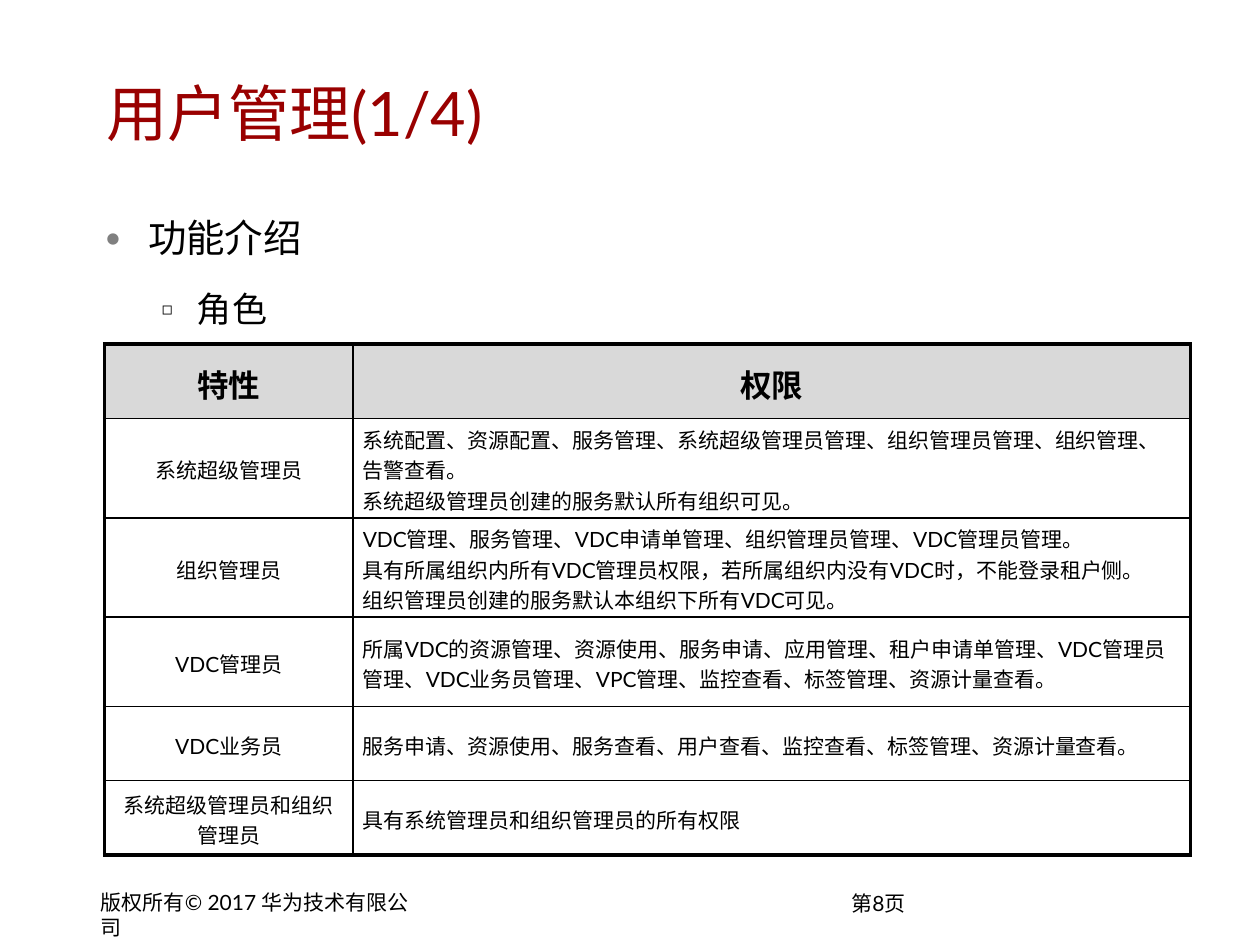
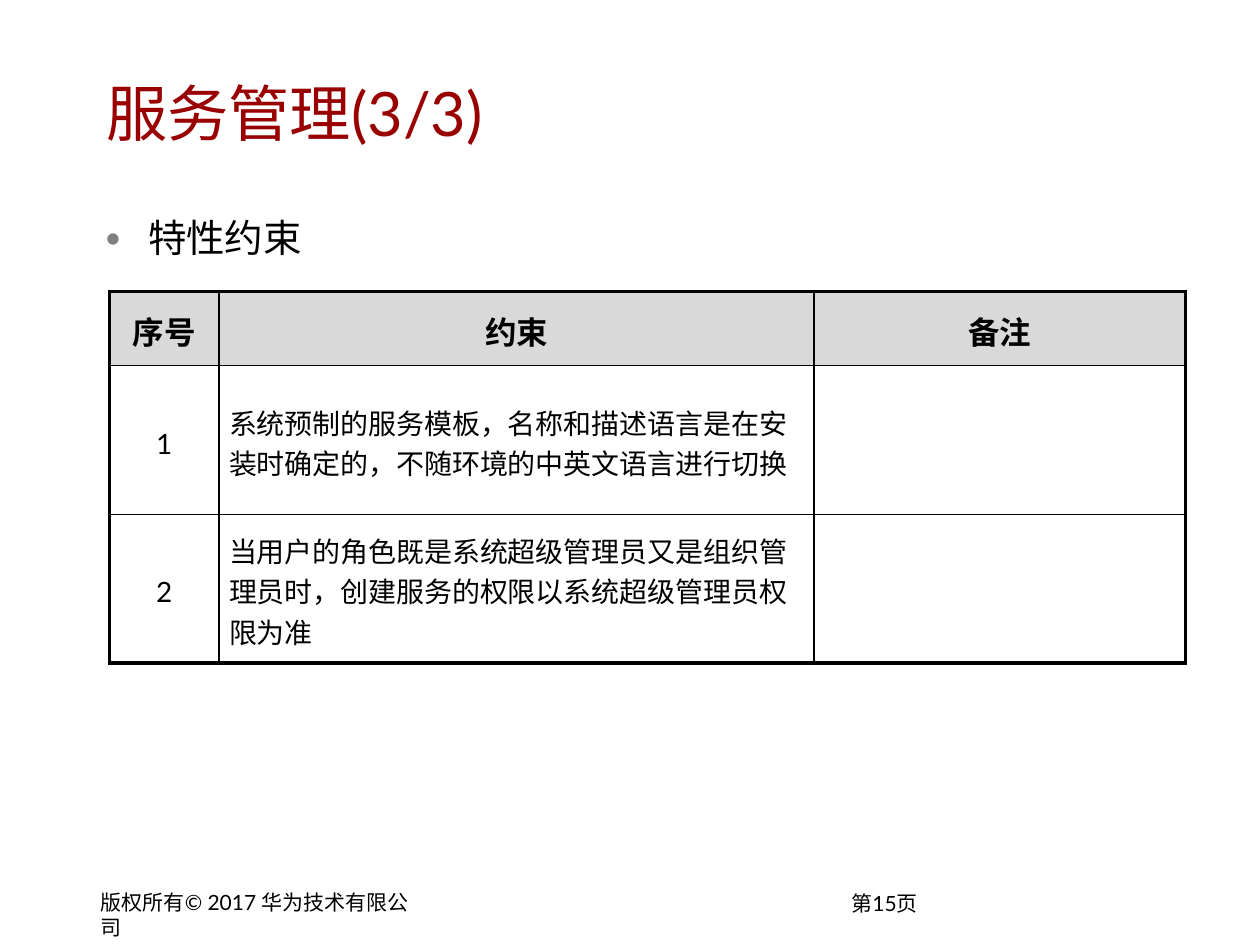
from lxml import etree
from pptx import Presentation
from pptx.dml.color import RGBColor
from pptx.enum import text
from pptx.oxml import ns
from pptx.util import Pt

FONT = "Lato"
BLACK, TITLE_RED, HEADER_GREY, BULLET_GREY = "000000", "990000", "D9D9D9", "808080"
COPYRIGHT = "版权所有© 2017 华为技术有限公司"
LEFT, CENTER = text.PP_ALIGN.LEFT, text.PP_ALIGN.CENTER
MIDDLE, TOP = text.MSO_ANCHOR.MIDDLE, text.MSO_ANCHOR.TOP
OUTER, INNER = 2.25, 1

BULLETS = [
    {"size": 22, "indent": 24, "hang": 24, "char": "●", "color": BULLET_GREY, "scale": 60, "before": 0},
    {"size": 20, "indent": 52, "hang": 20, "char": "◻", "color": BLACK, "scale": 50, "before": 6},
]

SLIDES = [
    {
        "title": "用户管理(1/4)",
        "number": 8,
        "topics": ["功能介绍", "角色"],
        "corner": (59.8, 196.6),
        "columns": [141.8, 478.8],
        "heights": [42.5, 56.8, 56.8, 51, 42.5, 42.5],
        "size": 12,
        "cells": [
            ["特性", "权限"],
            ["系统超级管理员",
             "系统配置、资源配置、服务管理、系统超级管理员管理、组织管理员管理、组织管理、告警查看。\n"
             "系统超级管理员创建的服务默认所有组织可见。"],
            ["组织管理员",
             "VDC管理、服务管理、VDC申请单管理、组织管理员管理、VDC管理员管理。\n"
             "具有所属组织内所有VDC管理员权限，若所属组织内没有VDC时，不能登录租户侧。\n"
             "组织管理员创建的服务默认本组织下所有VDC可见。"],
            ["VDC管理员",
             "所属VDC的资源管理、资源使用、服务申请、应用管理、租户申请单管理、VDC管理员管理、"
             "VDC业务员管理、VPC管理、监控查看、标签管理、资源计量查看。"],
            ["VDC业务员", "服务申请、资源使用、服务查看、用户查看、监控查看、标签管理、资源计量查看。"],
            ["系统超级管理员和组织管理员", "具有系统管理员和组织管理员的所有权限"],
        ],
    },
    {
        "title": "服务管理(3/3)",
        "number": 15,
        "topics": ["特性约束"],
        "corner": (62.6, 166.5),
        "columns": [62.6, 340, 212.4],
        "heights": [42.5, 85, 85],
        "size": 16,
        "cells": [
            ["序号", "约束", "备注"],
            ["1", "系统预制的服务模板，名称和描述语言是在安装时确定的，不随环境的中英文语言进行切换", ""],
            ["2", "当用户的角色既是系统超级管理员又是组织管理员时，创建服务的权限以系统超级管理员权限为准", ""],
        ],
    },
]


def rgb(value):
    return RGBColor.from_string(value)


def write(frame, lines, size, color=BLACK, bold=False, align=LEFT, spacing=1.0):
    frame.word_wrap = True
    for index, line in enumerate(lines):
        para = frame.paragraphs[0] if index == 0 else frame.add_paragraph()
        para.alignment = align
        para.line_spacing = spacing
        span = para.add_run()
        span.text = line
        span.font.name = FONT
        span.font.size = Pt(size)
        span.font.bold = bold
        span.font.color.rgb = rgb(color)
        east_asian = etree.SubElement(span.font._element, ns.qn("a:ea"))
        east_asian.set("typeface", FONT)


deck = Presentation()
deck.slide_width, deck.slide_height = Pt(720), Pt(540)

for content in SLIDES:
    page = deck.slides.add_slide(deck.slide_layouts[6])

    boxes = [
        ((480, 505.5, 52, 21), [f"第{content['number']}页"], 12, BLACK, TOP, 1.0),
        ((51, 505, 201, 21), [COPYRIGHT], 12, BLACK, TOP, 1.0),
        ((54, 30, 623.5, 68.5), [content["title"]], 35, TITLE_RED, MIDDLE, 1.0),
        ((54, 108.7, 623.5, 309), content["topics"], 22, BLACK, TOP, 1.4),
    ]
    for place, lines, size, color, anchor, spacing in boxes:
        box = page.shapes.add_textbox(*map(Pt, place))
        frame = box.text_frame
        frame.vertical_anchor = anchor
        frame.margin_left = frame.margin_right = Pt(6.6)
        frame.margin_top = frame.margin_bottom = Pt(3.2)
        write(frame, lines, size, color, spacing=spacing)

    for para, level in zip(frame.paragraphs, BULLETS):
        props = para._p.get_or_add_pPr()
        props.set("marL", str(Pt(level["indent"])))
        props.set("indent", str(-Pt(level["hang"])))
        bullet_color = etree.SubElement(props, ns.qn("a:buClr"))
        etree.SubElement(bullet_color, ns.qn("a:srgbClr")).set("val", level["color"])
        etree.SubElement(props, ns.qn("a:buSzPct")).set("val", str(level["scale"] * 1000))
        etree.SubElement(props, ns.qn("a:buFont")).set("typeface", FONT)
        etree.SubElement(props, ns.qn("a:buChar")).set("char", level["char"])
        para.level = BULLETS.index(level)
        para.space_before = Pt(level["before"])
        para.runs[0].font.size = Pt(level["size"])

    columns, heights = content["columns"], content["heights"]
    last_row, last_column = len(heights) - 1, len(columns) - 1
    place = (*content["corner"], sum(columns), sum(heights))
    table = page.shapes.add_table(len(heights), len(columns), *map(Pt, place)).table
    table.first_row = table.horz_banding = False
    for column, width in zip(table.columns, columns):
        column.width = Pt(width)

    for r, (height, values) in enumerate(zip(heights, content["cells"])):
        table.rows[r].height = Pt(height)
        for c, value in enumerate(values):
            cell = table.cell(r, c)
            cell.vertical_anchor = MIDDLE
            cell.margin_left = cell.margin_right = Pt(5.7)
            cell.margin_top = cell.margin_bottom = 0
            edges = {"lnL": c == 0, "lnR": c == last_column, "lnT": r == 0, "lnB": r == last_row}
            for edge, is_outer in edges.items():
                line = etree.SubElement(cell._tc.get_or_add_tcPr(), ns.qn(f"a:{edge}"))
                line.set("w", str(Pt(OUTER if is_outer else INNER)))
                paint = etree.SubElement(line, ns.qn("a:solidFill"))
                etree.SubElement(paint, ns.qn("a:srgbClr")).set("val", BLACK)
            header = r == 0
            if header:
                cell.fill.solid()
                cell.fill.fore_color.rgb = rgb(HEADER_GREY)
            else:
                cell.fill.background()
            if value:
                write(cell.text_frame, value.split("\n"), 18 if header else content["size"],
                      bold=header, align=CENTER if header or c == 0 else LEFT, spacing=1.2)

deck.save("out.pptx")
